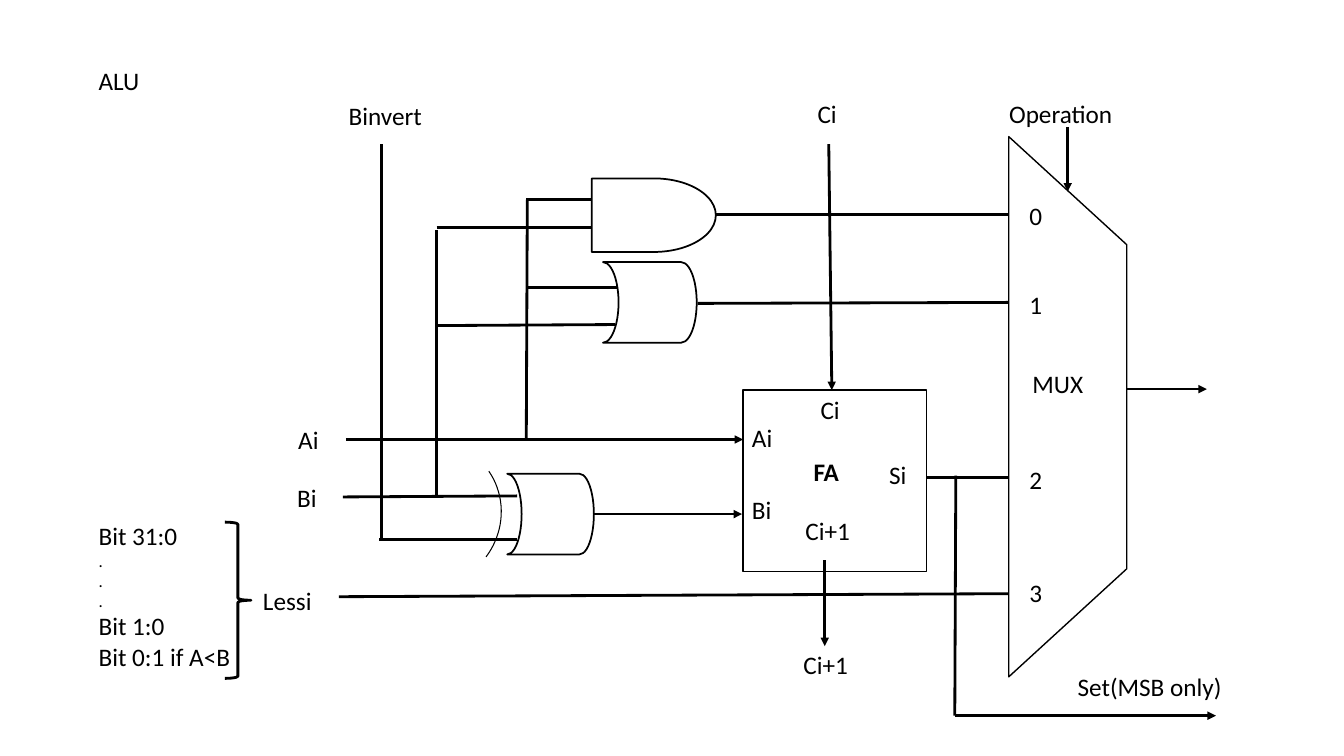
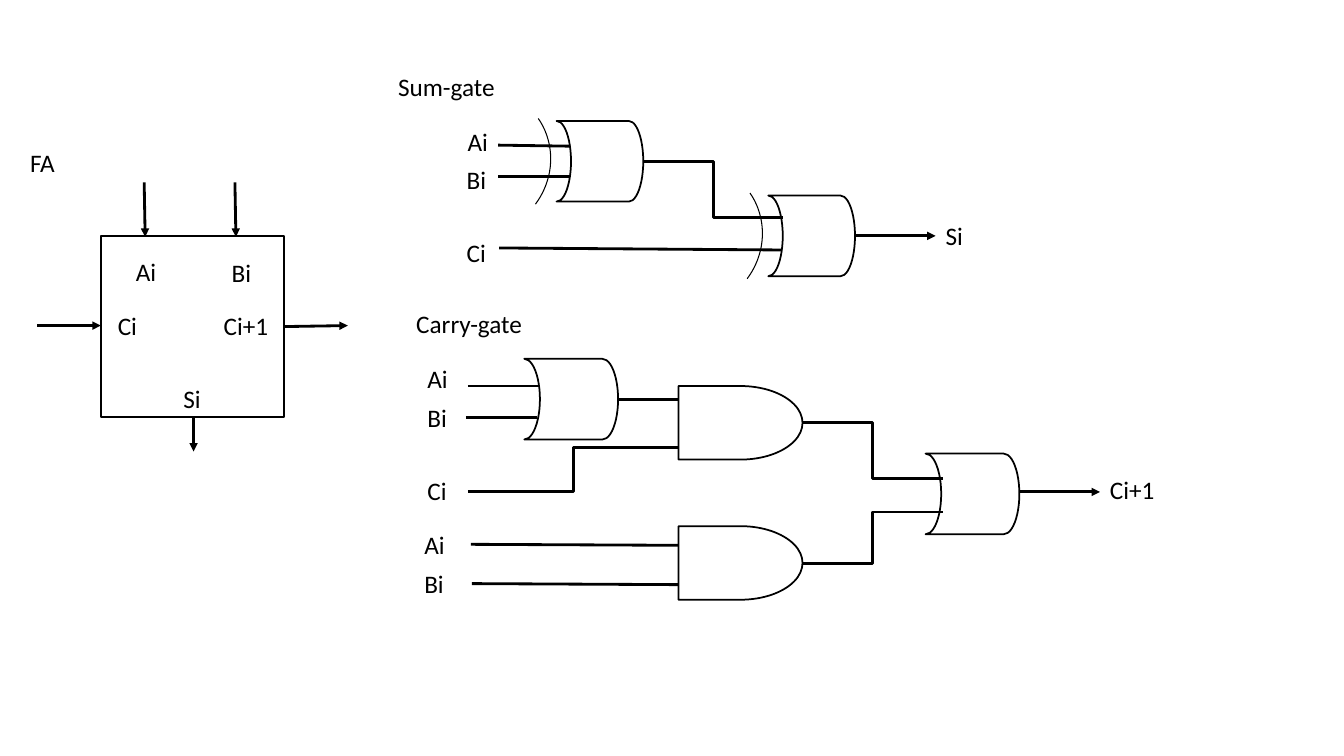
from pptx import Presentation
from pptx.dml.color import RGBColor
from pptx.enum.shapes import MSO_CONNECTOR, MSO_SHAPE
from pptx.oxml.ns import qn
from pptx.util import Inches, Pt
from lxml import etree

STRAIGHT, ELBOW = MSO_CONNECTOR.STRAIGHT, MSO_CONNECTOR.ELBOW
ARC, BRACE = MSO_SHAPE.ARC, MSO_SHAPE.RIGHT_BRACE
COLORS = {"ink": "000000", "paper": "FFFFFF"}
INK = RGBColor.from_string(COLORS["ink"])
PAPER = RGBColor.from_string(COLORS["paper"])
FONT, TEXT_SIZE, DOT_SIZE = "Calibri", 18, 12
WIRE_WIDTH = 2

# kind: preset, width, height, rotation, line width, adjustments
PARTS = {
    "and": (MSO_SHAPE.FLOWCHART_DELAY, 1.23, 0.73, 0, 1.25, ()),
    "or": (MSO_SHAPE.FLOWCHART_STORED_DATA, 0.93, 0.8, 180, 1.25, ()),
    "xor": (MSO_SHAPE.FLOWCHART_STORED_DATA, 0.86, 0.8, 180, 1.25, ()),
    "xor arc": (ARC, 1.41, 1.47, 39.1, 0.75, (171.01, 214.51)),
    "mux": (MSO_SHAPE.FLOWCHART_MANUAL_OPERATION, 5.36, 1.17, 270, 1, ()),
    "adder": (MSO_SHAPE.RECTANGLE, 1.82, 1.8, 0, 1.25, ()),
    "brace": (BRACE, 0.26, 1.55, 0, 2, (0.08, 0.5)),
}
ARC_LEFT, ARC_UP = 1.48, 0.33

alu = {
    "parts": [
        ("and", 5.87, 1.77), ("or", 5.98, 2.6), ("xor", 5.03, 4.7),
        ("mux", 7.91, 3.45), ("adder", 7.37, 3.87), ("brace", 2.23, 5.18),
    ],
    "wires": [
        (3.78, 1.43, 3.78, 5.35), (3.4, 4.93, 5.13, 4.92),
        (3.76, 5.35, 5.13, 5.35), (6.92, 3.01, 10, 3),
        (7.09, 2.13, 10, 2.13), (9.19, 4.74, 10.01, 4.74),
        (3.36, 5.92, 10, 5.89), (5.22, 1.98, 5.87, 1.98),
        (4.33, 2.26, 5.87, 2.26), (4.33, 3.23, 6.1, 3.22),
        (5.23, 2.85, 6.12, 2.85), (4.33, 2.28, 4.33, 4.92),
        (5.23, 1.98, 5.22, 4.36), (9.48, 4.72, 9.47, 7.1),
    ],
    "arrows": [
        (3.43, 4.36, 7.37, 4.36), (5.89, 5.1, 7.36, 5.1),
        (8.22, 1.43, 8.25, 3.87), (10.59, 1.26, 10.59, 1.9),
        (9.47, 7.1, 12.06, 7.1), (11.17, 3.86, 11.97, 3.86),
        (8.18, 5.56, 8.18, 6.41),
    ],
    "elbows": [],
    "labels": [
        ("ALU", 0.88, 0.6, 1.89, 0.4), ("MUX", 10.14, 3.61, 0.89, 0.87),
        ("0", 10.11, 1.94, 0.48, 0.66), ("1", 10.11, 2.82, 0.48, 0.66),
        ("2", 10.11, 4.56, 0.48, 0.66), ("3", 10.11, 5.68, 0.48, 0.66),
        ("Ci", 8.04, 3.86, 1.08, 0.5), ("Ci+1", 7.89, 5.06, 1.08, 0.5),
        ("Si", 8.72, 4.51, 1.08, 0.5), ("Ai", 7.36, 4.14, 0.6, 0.5),
        ("Bi", 7.36, 4.85, 0.55, 0.5), ("FA", 7.97, 4.48, 0.95, 0.5),
        ("Binvert", 3.36, 0.95, 1.14, 0.42),
        ("Operation", 9.91, 0.93, 1.35, 0.4),
        ("Ci", 8.01, 0.93, 0.42, 0.4), ("Ai", 2.86, 4.16, 0.57, 0.4),
        ("Bi", 2.85, 4.74, 0.57, 0.4), ("Lessi", 2.51, 5.76, 0.82, 0.4),
        ("Bit 31:0\n.\n.\n.\nBit 1:0\nBit 0:1 if A<B", 0.88, 5.11, 1.96, 1.62),
        ("Set(MSB only)", 10.59, 6.61, 1.7, 0.4),
        ("Ci+1", 7.87, 6.39, 0.7, 0.4),
    ],
    "bold": "FA",
}

full_adder = {
    "parts": [
        ("and", 6.73, 3.83), ("and", 6.73, 5.22), ("or", 9.18, 4.5),
        ("or", 5.2, 3.56), ("xor", 5.52, 1.2), ("xor", 7.62, 1.94),
        ("adder", 1, 2.34),
    ],
    "wires": [
        (6.13, 3.96, 6.73, 3.96), (4.64, 3.83, 5.35, 3.83),
        (4.62, 4.14, 5.33, 4.14), (4.68, 5.79, 6.73, 5.8),
        (4.67, 5.4, 6.73, 5.41), (4.95, 2.46, 7.75, 2.48),
        (4.94, 1.44, 5.65, 1.45), (4.94, 1.75, 5.65, 1.75),
    ],
    "arrows": [
        (10.12, 4.88, 10.91, 4.88), (8.48, 2.34, 9.28, 2.34),
        (2.82, 3.24, 3.45, 3.23), (1.92, 4.14, 1.92, 4.48),
        (2.33, 1.81, 2.34, 2.35), (1.43, 1.81, 1.44, 2.35),
        (0.37, 3.23, 1, 3.23),
    ],
    "elbows": [
        (7.96, 4.19, 9.35, 4.75), (7.95, 5.59, 9.35, 5.08),
        (4.64, 4.88, 6.73, 4.44), (6.38, 1.6, 7.77, 2.16),
    ],
    "labels": [
        ("FA", 0.2, 1.41, 1.89, 0.4), ("Sum-gate", 3.85, 0.66, 1.89, 0.4),
        ("Carry-gate", 4.03, 3.01, 1.89, 0.4),
        ("Ai", 4.14, 3.56, 0.57, 0.4), ("Bi", 4.14, 3.94, 0.57, 0.4),
        ("Ci", 4.14, 4.67, 1.08, 0.5), ("Ai", 4.11, 5.2, 0.57, 0.4),
        ("Bi", 4.11, 5.59, 0.57, 0.4), ("Ci+1", 10.91, 4.66, 1.08, 0.4),
        ("Ai", 4.54, 1.2, 0.57, 0.4), ("Bi", 4.53, 1.58, 0.57, 0.4),
        ("Ci", 4.53, 2.31, 1.08, 0.5), ("Si", 9.28, 2.14, 1.08, 0.4),
        ("Ci", 1.07, 3.03, 0.46, 0.4), ("Ci+1", 2.12, 3.03, 0.72, 0.4),
        ("Si", 1.72, 3.75, 1.08, 0.5), ("Ai", 1.25, 2.49, 0.6, 0.5),
        ("Bi", 2.2, 2.5, 0.55, 0.5),
    ],
    "bold": None,
}


def add_part(page, kind, left, top):
    preset, width, height, rotation, line_width, adjustments = PARTS[kind]
    part = page.shapes.add_shape(
        preset, Inches(left), Inches(top), Inches(width), Inches(height))
    part.rotation = rotation
    part.shadow.inherit = False
    for index, value in enumerate(adjustments):
        part.adjustments[index] = value
    if preset in (ARC, BRACE):
        part.fill.background()
    else:
        part.fill.solid()
        part.fill.fore_color.rgb = PAPER
    part.line.color.rgb = INK
    part.line.width = Pt(line_width)


def add_wire(page, route, ends, arrow):
    wire = page.shapes.add_connector(route, *[Inches(end) for end in ends])
    wire.line.color.rgb = INK
    wire.line.width = Pt(WIRE_WIDTH)
    properties = wire.element.spPr
    if arrow:
        etree.SubElement(properties.find(qn("a:ln")), qn("a:tailEnd"), type="triangle")
    etree.SubElement(properties, qn("a:effectLst"))


deck = Presentation()
deck.slide_width, deck.slide_height = Inches(13.33), Inches(7.5)

for circuit in (alu, full_adder):
    page = deck.slides.add_slide(deck.slide_layouts[6])
    for kind, left, top in circuit["parts"]:
        add_part(page, kind, left, top)
        if kind == "xor":
            add_part(page, "xor arc", left - ARC_LEFT, top - ARC_UP)
    for group, route in (("wires", STRAIGHT), ("arrows", STRAIGHT), ("elbows", ELBOW)):
        for ends in circuit[group]:
            add_wire(page, route, ends, group == "arrows")
    for text, *bounds in circuit["labels"]:
        box = page.shapes.add_textbox(*[Inches(length) for length in bounds])
        box.text_frame.word_wrap = True
        box.text_frame.text = text
        for para in box.text_frame.paragraphs:
            para.font.name = FONT
            para.font.size = Pt(DOT_SIZE if para.text == "." else TEXT_SIZE)
            para.font.bold = text == circuit["bold"]
            para.font.color.rgb = INK

deck.save("out.pptx")
